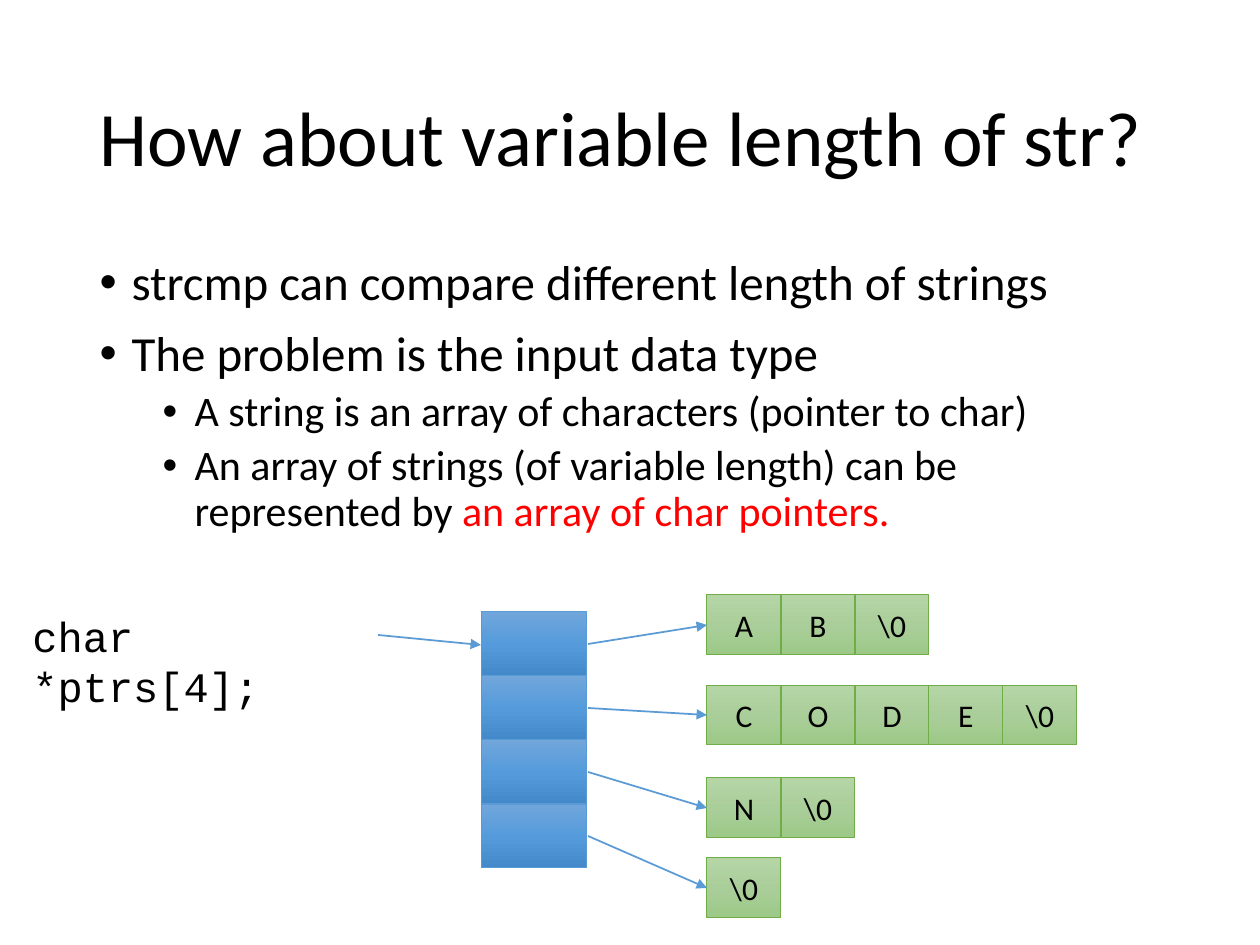
from copy import deepcopy
from dataclasses import dataclass

from lxml import etree
from pptx import Presentation
from pptx.dml.color import RGBColor
from pptx.enum.shapes import MSO_CONNECTOR, MSO_SHAPE
from pptx.enum.text import MSO_ANCHOR, MSO_AUTO_SIZE, PP_ALIGN
from pptx.oxml.ns import qn
from pptx.util import Pt

RECT = MSO_SHAPE.RECTANGLE
STRAIGHT = MSO_CONNECTOR.STRAIGHT
MIDDLE = MSO_ANCHOR.MIDDLE
FIXED = MSO_AUTO_SIZE.NONE
LEFT, CENTER = PP_ALIGN.LEFT, PP_ALIGN.CENTER
SCALE = 914400 / 126


@dataclass(frozen=True)
class Theme:
    sans: str = "Calibri"
    mono: str = "Courier New"
    black: str = "000000"
    red: str = "FF0000"
    blue: str = "5B9BD5"
    green: str = "70AD47"
    blues: tuple = ("71A6DB", "559BDB", "448ACA")
    greens: tuple = ("B5D5A7", "AACE9A", "9CC987")
    title: int = 44
    levels: tuple = (28, 24)
    code: int = 24
    cell: int = 18


def px(n):
    return round(n * SCALE)


class Painter:
    def __init__(self, slide, theme):
        self.slide = slide
        self.theme = theme

    def place(self, shape, x, y, w, h):
        shape.left, shape.top = px(x), px(y)
        shape.width, shape.height = px(w), px(h)

    def run(self, para, text, size, color=None, font=None):
        run = para.add_run()
        run.text = text
        run.font.size = Pt(size)
        run.font.name = font or self.theme.sans
        run.font.color.rgb = RGBColor.from_string(color or self.theme.black)

    def title(self, text, *area):
        shape = self.slide.shapes.title
        self.place(shape, *area)
        frame = shape.text_frame
        frame.auto_size = FIXED
        frame.vertical_anchor = MIDDLE
        para = frame.paragraphs[0]
        para.alignment = LEFT
        para.line_spacing = 0.9
        self.run(para, text, self.theme.title)

    def bullets(self, items, *area):
        shape = self.slide.placeholders[1]
        self.place(shape, *area)
        frame = shape.text_frame
        frame.auto_size = FIXED
        for i, (level, runs) in enumerate(items):
            para = frame.add_paragraph() if i else frame.paragraphs[0]
            para.level = level
            props = para._p.get_or_add_pPr()
            props.set("marL", str(px(32 + 63 * level)))
            props.set("indent", str(px(-32)))
            etree.SubElement(props, qn("a:buFont")).set("typeface", "Arial")
            etree.SubElement(props, qn("a:buChar")).set("char", "•")
            para.line_spacing = 0.9
            para.space_before = Pt((10, 5)[level] if i else 0)
            for text, color in runs:
                self.run(para, text, self.theme.levels[level], color)

    def code(self, text, *area):
        box = self.slide.shapes.add_textbox(*map(px, area))
        box.text_frame.word_wrap = True
        para = box.text_frame.paragraphs[0]
        self.run(para, text, self.theme.code, font=self.theme.mono)

    def box(self, area, shades, edge, text=""):
        shape = self.slide.shapes.add_shape(RECT, *map(px, area))
        shape.shadow.inherit = False
        shape.fill.gradient()
        shape.fill.gradient_angle = 270
        first = shape._element.spPr.find(".//" + qn("a:gs"))
        first.addnext(deepcopy(first))
        for i, stop in enumerate(shape.fill.gradient_stops):
            stop.position = i / 2
            stop.color.rgb = RGBColor.from_string(shades[i])
        shape.line.color.rgb = RGBColor.from_string(edge)
        shape.line.width = Pt(0.5)
        if text:
            shape.text_frame.vertical_anchor = MIDDLE
            para = shape.text_frame.paragraphs[0]
            para.alignment = CENTER
            self.run(para, text, self.theme.cell)

    def arrow(self, *ends):
        line = self.slide.shapes.add_connector(STRAIGHT, *map(px, ends))
        line.line.color.rgb = RGBColor.from_string(self.theme.blue)
        line.line.width = Pt(1)
        tip = etree.SubElement(line.line._get_or_add_ln(), qn("a:tailEnd"))
        tip.set("type", "triangle")
        etree.SubElement(line._element.spPr, qn("a:effectLst"))


def main():
    deck = Presentation()
    deck.slide_width, deck.slide_height = px(1260), px(945)
    slide = deck.slides.add_slide(deck.slide_layouts[1])
    theme = Theme()
    pen = Painter(slide, theme)

    pen.title("How about variable length of str?", 87, 50, 1086, 183)
    pen.bullets([
        (0, [("strcmp can compare different length of strings", None)]),
        (0, [("The problem is the input data type", None)]),
        (1, [("A string is an array of characters (pointer to char)", None)]),
        (1, [("An array of strings (of variable length) can be represented by ", None),
             ("an array of char pointers.", theme.red)]),
    ], 87, 252, 1086, 600)
    pen.code("char *ptrs[4];", 20, 604, 358, 63)

    pen.arrow(378, 635, 481, 645)
    words = [(595, "AB"), (685, "CODE"), (778, "N"), (858, "")]
    for i, (top, word) in enumerate(words):
        slot = 612 + 64 * i
        pen.box((481, slot, 106, 64), theme.blues, theme.blue)
        for j, char in enumerate([*word, "\\0"]):
            pen.box((707 + 74 * j, top, 74, 60), theme.greens, theme.green, char)
        pen.arrow(588, slot + 32, 707, top + 30)

    deck.save("out.pptx")


if __name__ == "__main__":
    main()
